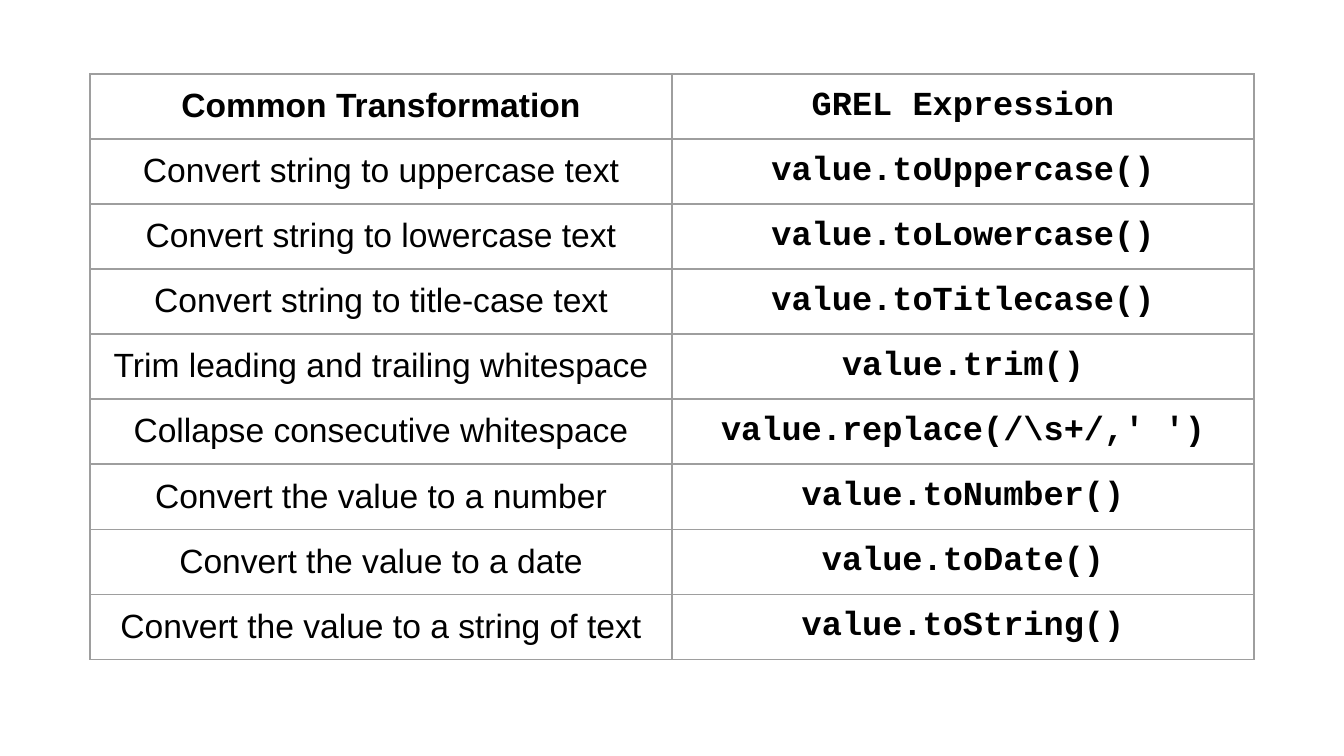
import pptx
import pptx.dml.color
import pptx.enum.text
import pptx.oxml
import pptx.oxml.ns
import pptx.util
from pptx.util import Inches

HEADINGS = ("Common Transformation", "GREL Expression")
TRANSFORMATIONS = [
    ("Convert string to uppercase text", "value.toUppercase()"),
    ("Convert string to lowercase text", "value.toLowercase()"),
    ("Convert string to title-case text", "value.toTitlecase()"),
    ("Trim leading and trailing whitespace", "value.trim()"),
    ("Collapse consecutive whitespace", r"value.replace(/\s+/,' ')"),
    ("Convert the value to a number", "value.toNumber()"),
    ("Convert the value to a date", "value.toDate()"),
    ("Convert the value to a string of text", "value.toString()"),
]

THEME = {
    "description_font": "Arial",
    "code_font": "Courier New",
    "size": 18,
    "text": "000000",
    "background": "FFFFFF",
    "border": "9E9E9E",
    "border_width": 0.75,
}

SLIDE_WIDTH = Inches(10)
SLIDE_HEIGHT = SLIDE_WIDTH * 9 // 16
LEFT, TOP = 0.67, 0.55
COLUMN_WIDTH, ROW_HEIGHT = 4.33, 0.4
CELL_MARGIN = 0.1


def color(key):
    return pptx.dml.color.RGBColor.from_string(THEME[key])


def write(cell, text, *, font, bold):
    paragraph = cell.text_frame.paragraphs[0]
    paragraph.alignment = pptx.enum.text.PP_ALIGN.CENTER
    run = paragraph.add_run()
    run.text = text
    run.font.name = font
    run.font.size = pptx.util.Pt(THEME["size"])
    run.font.bold = bold
    run.font.color.rgb = color("text")


def style_cell(cell):
    cell.margin_left = cell.margin_right = Inches(CELL_MARGIN)
    cell.margin_top = cell.margin_bottom = Inches(CELL_MARGIN)
    properties = cell._tc.get_or_add_tcPr()
    width = pptx.util.Pt(THEME["border_width"])
    for side in ("lnL", "lnR", "lnT", "lnB"):
        properties.append(pptx.oxml.parse_xml(
            f'<a:{side} {pptx.oxml.ns.nsdecls("a")} w="{width}"><a:solidFill>'
            f'<a:srgbClr val="{THEME["border"]}"/></a:solidFill></a:{side}>'
        ))
    cell.fill.background()


def main():
    presentation = pptx.Presentation()
    presentation.slide_width = SLIDE_WIDTH
    presentation.slide_height = SLIDE_HEIGHT
    slide = presentation.slides.add_slide(presentation.slide_layouts[6])
    slide.background.fill.solid()
    slide.background.fill.fore_color.rgb = color("background")

    entries = [HEADINGS, *TRANSFORMATIONS]
    reference = slide.shapes.add_table(
        len(entries), len(HEADINGS), Inches(LEFT), Inches(TOP),
        Inches(COLUMN_WIDTH * len(HEADINGS)), Inches(ROW_HEIGHT * len(entries)),
    ).table
    reference.first_row = False
    reference.horz_banding = False
    for column in reference.columns:
        column.width = Inches(COLUMN_WIDTH)

    for index, (description, expression) in enumerate(entries):
        reference.rows[index].height = Inches(ROW_HEIGHT)
        description_cell, expression_cell = reference.rows[index].cells
        style_cell(description_cell)
        style_cell(expression_cell)
        write(description_cell, description, font=THEME["description_font"], bold=index == 0)
        write(expression_cell, expression, font=THEME["code_font"], bold=True)

    presentation.save("out.pptx")


if __name__ == "__main__":
    main()
